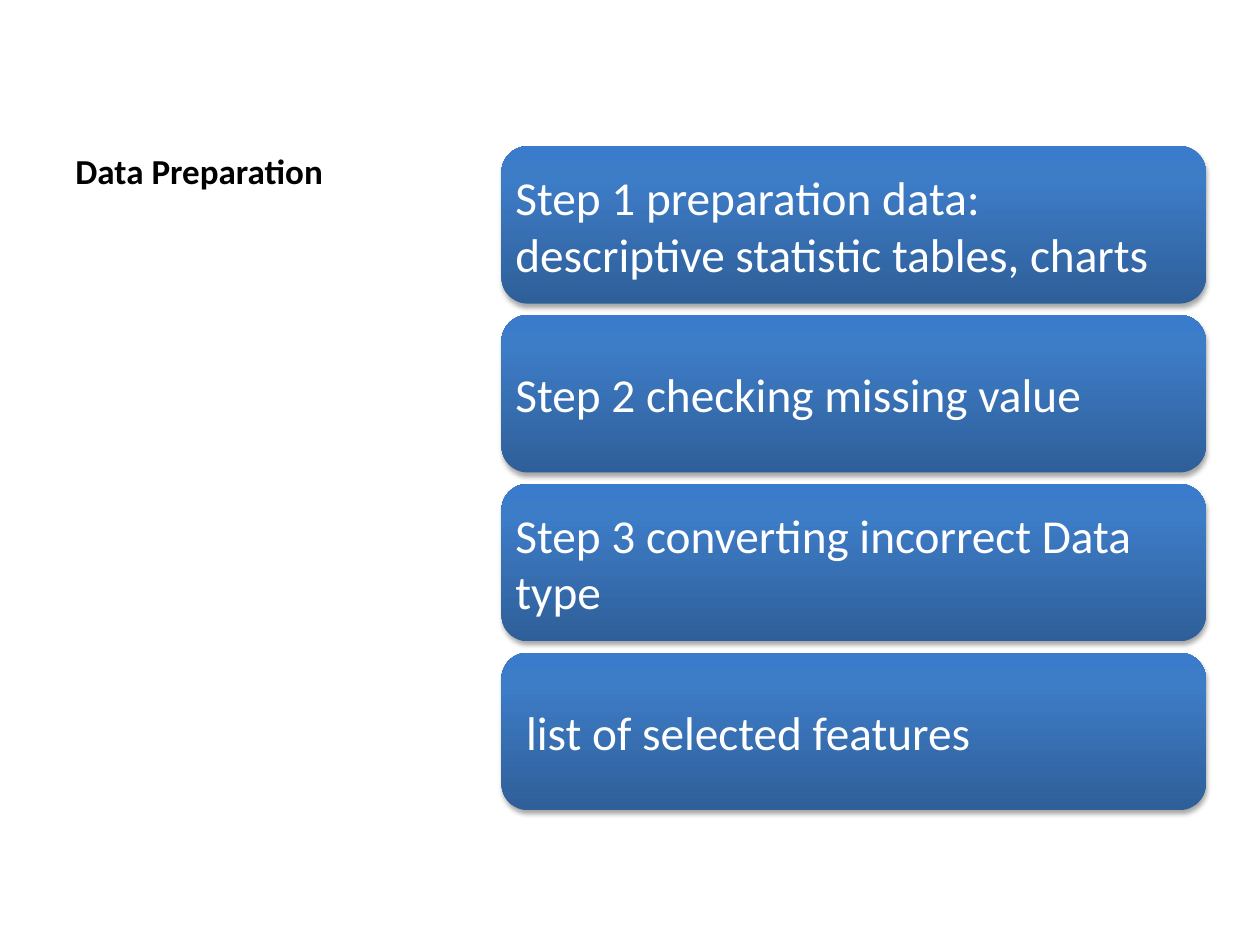
from copy import deepcopy
from dataclasses import dataclass

from lxml.etree import SubElement
from pptx import Presentation
from pptx.dml.color import RGBColor
from pptx.enum.shapes import MSO_SHAPE
from pptx.enum.text import MSO_ANCHOR, PP_ALIGN
from pptx.oxml.ns import qn
from pptx.shapes.autoshape import Shape
from pptx.slide import Slide
from pptx.text.text import TextFrame
from pptx.util import Inches, Pt

BLACK = RGBColor(0x00, 0x00, 0x00)
WHITE = RGBColor(0xFF, 0xFF, 0xFF)
DARK_BLUE = RGBColor(0x2F, 0x5F, 0x99)
MID_BLUE = RGBColor(0x3D, 0x7C, 0xC7)
LIGHT_BLUE = RGBColor(0x3A, 0x7C, 0xCB)
CARD_GRADIENT = ((0, DARK_BLUE), (0.8, MID_BLUE), (1, LIGHT_BLUE))

FONT = "Calibri"


@dataclass(frozen=True)
class CardColumn:
    """A column of equal cards, in inches."""
    left: float = 3.98
    top: float = 1.16
    width: float = 5.59
    height: float = 1.25
    gap: float = 0.09

    def row_top(self, row: int) -> float:
        return self.top + row * (self.height + self.gap)


@dataclass(frozen=True)
class Step:
    lines: tuple[str, ...]


STEPS = (
    Step(("Step 1 preparation data:", "descriptive statistic tables, charts")),
    Step(("Step 2 checking missing value",)),
    Step(("Step 3 converting incorrect Data type",)),
    Step((" list of selected features",)),
)


def write_text(frame: TextFrame, lines: tuple[str, ...], size: float,
               color: RGBColor, bold: bool = False) -> None:
    """Write one left-aligned paragraph with breaks between its lines."""
    frame.word_wrap = True
    paragraph = frame.paragraphs[0]
    paragraph.alignment = PP_ALIGN.LEFT
    for index, line in enumerate(lines):
        if index:
            paragraph.add_line_break()
        run = paragraph.add_run()
        run.text = line
        run.font.name = FONT
        run.font.size = Pt(size)
        run.font.bold = bold
        run.font.color.rgb = color


def fill_gradient(shape: Shape) -> None:
    """Fill from dark at the bottom to light at the top."""
    shape.fill.gradient()
    shape.fill.gradient_angle = 90
    first_stop = shape._element.spPr.find(f".//{qn('a:gs')}")
    first_stop.addnext(deepcopy(first_stop))
    for stop, (position, color) in zip(shape.fill.gradient_stops, CARD_GRADIENT):
        stop.position = position
        stop.color.rgb = color


def add_soft_shadow(shape: Shape) -> None:
    """Cast a faint shadow straight down."""
    shape.shadow.inherit = False
    effects = shape._element.spPr.find(qn("a:effectLst"))
    shadow = SubElement(effects, qn("a:outerShdw"), blurRad=str(Pt(3.1)),
                        dist=str(Pt(1.8)), dir="5400000", rotWithShape="0")
    color = SubElement(shadow, qn("a:srgbClr"), val=str(BLACK))
    SubElement(color, qn("a:alpha"), val="35000")


def add_card(slide: Slide, column: CardColumn, row: int, step: Step) -> None:
    card = slide.shapes.add_shape(
        MSO_SHAPE.ROUNDED_RECTANGLE, Inches(column.left), Inches(column.row_top(row)),
        Inches(column.width), Inches(column.height))
    card.line.fill.background()
    fill_gradient(card)
    add_soft_shadow(card)
    frame = card.text_frame
    frame.vertical_anchor = MSO_ANCHOR.MIDDLE
    # The rounded corners already push the text in a little
    frame.margin_left = frame.margin_right = Inches(0.05)
    frame.margin_top = frame.margin_bottom = Inches(0.05)
    write_text(frame, step.lines, 27, WHITE)


def add_title(slide: Slide, title: str) -> None:
    box = slide.shapes.add_textbox(Inches(0.5), Inches(0.3), Inches(3.29), Inches(1.27))
    box.text_frame.vertical_anchor = MSO_ANCHOR.BOTTOM
    write_text(box.text_frame, (title,), 20, BLACK, bold=True)


def main() -> None:
    presentation = Presentation()
    presentation.slide_width = Inches(10)
    presentation.slide_height = Inches(7.5)
    slide = presentation.slides.add_slide(presentation.slide_layouts[6])

    # Heading on the left
    add_title(slide, "Data Preparation")

    # Step cards on the right
    column = CardColumn()
    for row, step in enumerate(STEPS):
        add_card(slide, column, row, step)

    presentation.save("out.pptx")


if __name__ == "__main__":
    main()
